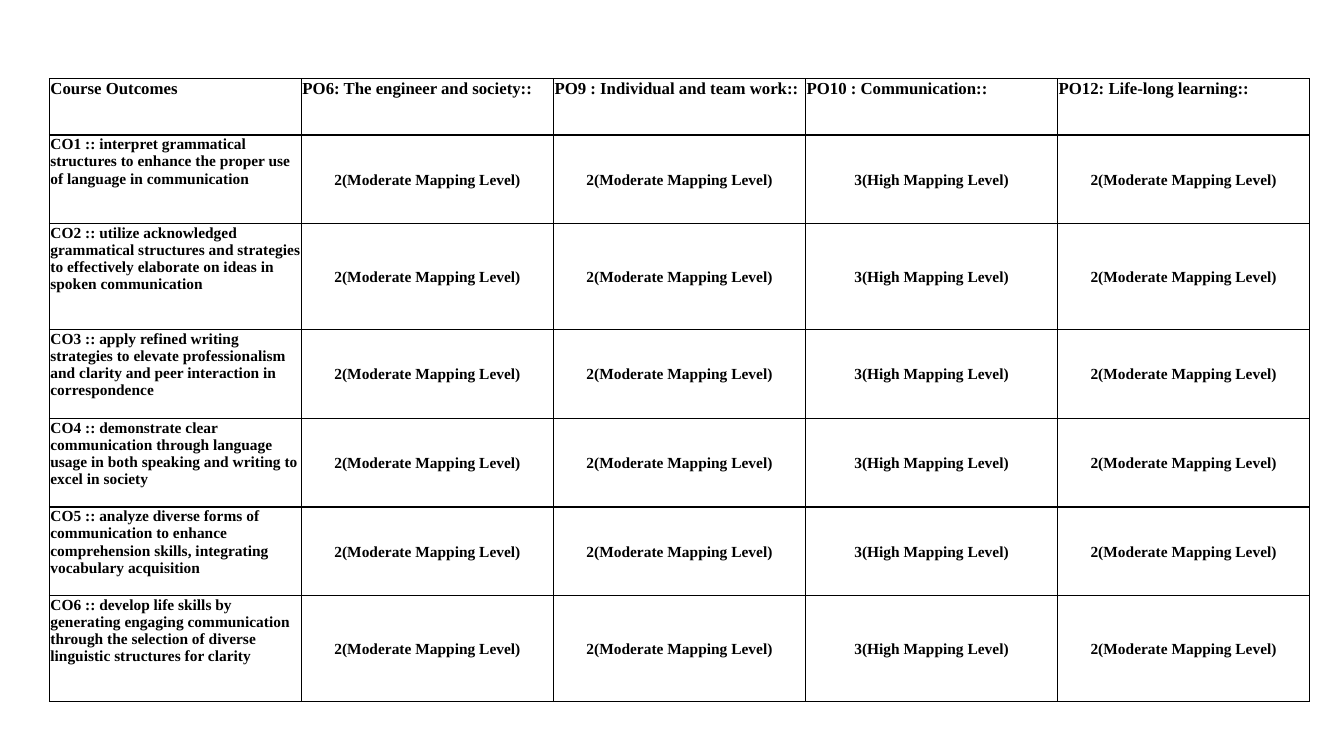
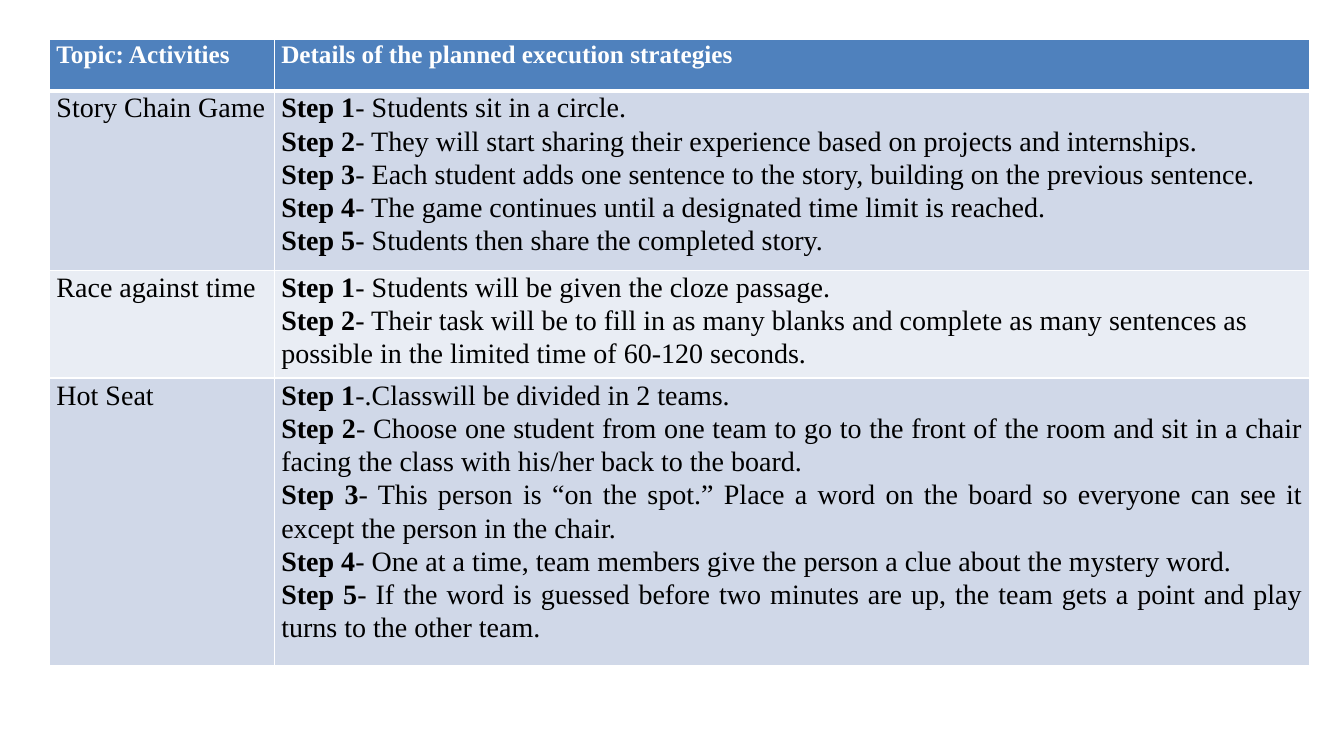
from dataclasses import dataclass

from lxml import etree
from pptx import Presentation
from pptx import util as u
from pptx.dml import color
from pptx.enum import text
from pptx.oxml import ns

PX = 9144


@dataclass(frozen=True)
class Theme:
    font: str = "Times New Roman"
    black: str = "000000"
    white: str = "FFFFFF"
    header_blue: str = "4F81BD"
    band_dark: str = "D0D8E8"
    band_light: str = "E9EDF4"
    outcome_size: int = 11
    outcome_header_size: int = 12
    activity_size: int = 20
    activity_header_size: int = 18
    line_spacing: float = 1.07
    thin: int = 1
    thick: int = 3


class Deck:
    def __init__(self, theme, width, height):
        self.theme = theme
        self.deck = Presentation()
        self.deck.slide_width = u.Emu(width * PX)
        self.deck.slide_height = u.Emu(height * PX)
        self.page = None

    def add_page(self):
        self.page = self.deck.slides.add_slide(self.deck.slide_layouts[6])

    def add_table(self, left, top, columns, rows):
        size = [u.Emu(n * PX) for n in (left, top, sum(columns), sum(rows))]
        table = self.page.shapes.add_table(len(rows), len(columns), *size).table
        table.first_row = table.horz_banding = False
        for column, width in zip(table.columns, columns):
            column.width = u.Emu(width * PX)
        for row, height in zip(table.rows, rows):
            row.height = u.Emu(height * PX)
        return table

    def style_cell(self, cell, fill, margins, border, top=1, bottom=1):
        cell.fill.solid()
        cell.fill.fore_color.rgb = color.RGBColor.from_string(fill)
        cell.margin_left, cell.margin_top, cell.margin_right, cell.margin_bottom = (
            u.Emu(n * PX) for n in margins
        )
        properties = cell._tc.get_or_add_tcPr()
        thin = self.theme.thin
        edges = {"lnL": thin, "lnR": thin, "lnT": top, "lnB": bottom}
        for index, (edge, width) in enumerate(edges.items()):
            line = etree.Element(ns.qn(f"a:{edge}"), w=str(u.Pt(width)))
            solid = etree.SubElement(line, ns.qn("a:solidFill"))
            etree.SubElement(solid, ns.qn("a:srgbClr"), val=border)
            properties.insert(index, line)

    def format_span(self, span, size, ink, bold):
        span.font.name = self.theme.font
        span.font.size = u.Pt(size)
        span.font.bold = bold
        span.font.color.rgb = color.RGBColor.from_string(ink)

    def fill_text(self, cell, words, size, ink, bold, align=None, spacing=None):
        cell.text_frame.text = words
        para = cell.text_frame.paragraphs[0]
        para.alignment = align
        para.line_spacing = spacing
        self.format_span(para.runs[0], size, ink, bold)

    def fill_steps(self, cell, steps, align):
        frame = cell.text_frame
        for number, words in enumerate(steps, 1):
            para = frame.paragraphs[0] if number == 1 else frame.add_paragraph()
            para.alignment = align
            para.line_spacing = self.theme.line_spacing
            for part, bold in ((f"Step {number}", True), (f"-{words}", False)):
                span = para.add_run()
                span.text = part
                self.format_span(span, self.theme.activity_size, self.theme.black, bold)


OUTCOME_HEADERS = [
    "Course Outcomes",
    "PO6: The engineer and society::",
    "PO9 : Individual and team work::",
    "PO10 : Communication::",
    "PO12: Life-long learning::",
]
OUTCOMES = [
    "interpret grammatical structures to enhance the proper use of language in communication",
    "utilize acknowledged grammatical structures and strategies to effectively elaborate "
    "on ideas in spoken communication",
    "apply refined writing strategies to elevate professionalism and clarity and peer "
    "interaction in correspondence",
    "demonstrate clear communication through language usage in both speaking and writing "
    "to excel in society",
    "analyze diverse forms of communication to enhance comprehension skills, integrating "
    "vocabulary acquisition",
    "develop life skills by generating engaging communication through the selection of "
    "diverse linguistic structures for clarity",
]
MODERATE = "2(Moderate Mapping Level)"
HIGH = "3(High Mapping Level)"
LEVELS = [MODERATE, MODERATE, HIGH, MODERATE]

ACTIVITY_HEADERS = ["Topic: Activities", "Details of the planned execution strategies"]
ACTIVITIES = [
    ("Story Chain Game", None, [
        " Students sit in a circle.",
        " They will start sharing their experience based on projects and internships.",
        " Each student adds one sentence to the story, building on the previous sentence.",
        " The game continues until a designated time limit is reached.",
        " Students then share the completed story.",
    ]),
    ("Race against time", None, [
        " Students will be given the cloze passage.",
        " Their task will be to fill in as many blanks and complete as many sentences as "
        "possible in the limited time of 60-120 seconds.",
    ]),
    ("Hot Seat", text.PP_ALIGN.JUSTIFY, [
        ".Classwill be divided in 2 teams.",
        " Choose one student from one team to go to the front of the room and sit in a chair "
        "facing the class with his/her back to the board.",
        " This person is “on the spot.” Place a word on the board so everyone can see it "
        "except the person in the chair.",
        " One at a time, team members give the person a clue about the mystery word.",
        " If the word is guessed before two minutes are up, the team gets a point and play "
        "turns to the other team.",
    ]),
]


def build_outcomes(deck):
    theme = deck.theme
    deck.add_page()
    table = deck.add_table(49, 78, [250] * 5, [56, 88, 105, 88, 88, 88, 105])
    rows = [OUTCOME_HEADERS]
    rows += [[f"CO{n} :: {words}", *LEVELS] for n, words in enumerate(OUTCOMES, 1)]
    for r, row in enumerate(rows):
        size = theme.outcome_size if r else theme.outcome_header_size
        for c, words in enumerate(row):
            cell = table.cell(r, c)
            is_level = r > 0 and c > 0
            deck.style_cell(cell, theme.white, (1, 1, 1, 0), theme.black)
            align = text.PP_ALIGN.CENTER if is_level else None
            deck.fill_text(cell, words, size, theme.black, True, align)
            if is_level:
                cell.vertical_anchor = text.MSO_ANCHOR.MIDDLE


def build_activities(deck):
    theme = deck.theme
    deck.add_page()
    table = deck.add_table(49, 39, [223, 1027], [51, 178, 107, 285])
    fills = [theme.header_blue, theme.band_dark, theme.band_light, theme.band_dark]
    for r, fill in enumerate(fills):
        top = theme.thick if r == 1 else theme.thin
        bottom = theme.thick if r == 0 else theme.thin
        for c in range(2):
            deck.style_cell(table.cell(r, c), fill, (7, 0, 7, 0), theme.white, top, bottom)
    for c, words in enumerate(ACTIVITY_HEADERS):
        deck.fill_text(table.cell(0, c), words, theme.activity_header_size, theme.white, True,
                       text.PP_ALIGN.JUSTIFY, theme.line_spacing)
    for r, (name, align, steps) in enumerate(ACTIVITIES, 1):
        deck.fill_text(table.cell(r, 0), name, theme.activity_size, theme.black, False,
                       spacing=theme.line_spacing)
        deck.fill_steps(table.cell(r, 1), steps, align)


def main():
    deck = Deck(Theme(), 1333, 750)
    build_outcomes(deck)
    build_activities(deck)
    deck.deck.save("out.pptx")


if __name__ == "__main__":
    main()
